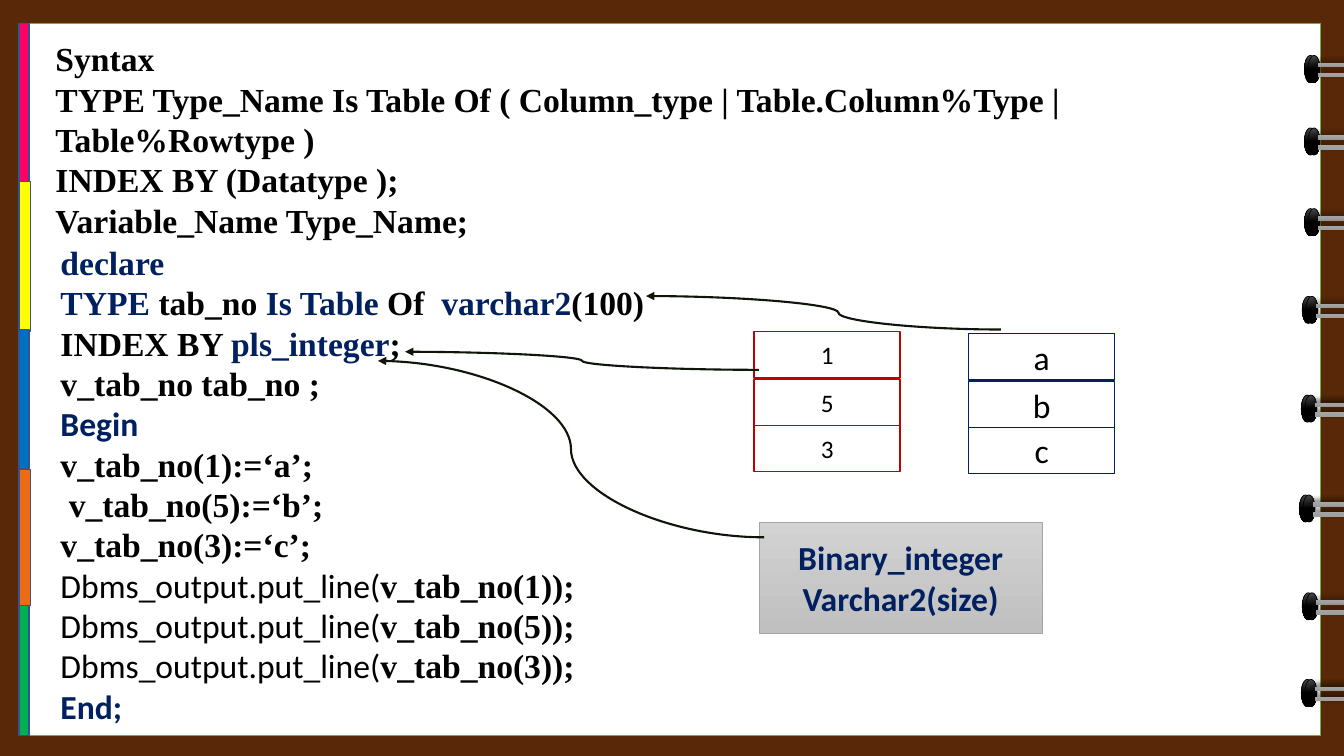
from lxml.etree import SubElement
from pptx import Presentation
from pptx.dml.color import RGBColor
from pptx.enum.shapes import MSO_CONNECTOR, MSO_SHAPE
from pptx.enum.text import MSO_ANCHOR, MSO_AUTO_SIZE, PP_ALIGN
from pptx.oxml.ns import qn
from pptx.util import Pt

HUES = {
    "brown": "582808", "white": "FFFFFF", "black": "000000", "green": "70AD47",
    "navy": "002060", "red": "C00000", "edge": "325491", "ink": "0E1509",
    "gloss": "4B4B4B", "steel": "AFAFAF", "iron": "939393",
    "pale": "D2D2D2", "ash": "C0C0C0", "gray": "A5A5A5",
    "pink": "FF0066", "yellow": "FFFF00", "blue": "0070C0",
    "leaf": "00B050", "orange": "EB6C15",
}
SERIF, SANS = "Times New Roman", "Calibri"

SYNTAX = "\v".join([
    "Syntax",
    "TYPE Type_Name Is Table Of ( Column_type | Table.Column%Type | Table%Rowtype )",
    "INDEX BY (Datatype );",
    "Variable_Name Type_Name;",
])

# Style: font, colour, bold
WORD = (SERIF, "navy", True)
NAME = (SERIF, "black", True)
MARK = (SANS, "navy", True)
CALL = (SANS, "black", False)
CODE = [
    [("declare\nTYPE ", WORD), ("tab_no ", NAME), ("Is Table ", WORD),
     ("Of  ", NAME), ("varchar2", WORD), ("(100)\nINDEX BY ", NAME),
     ("pls_integer", WORD), (";\nv_tab_no tab_no ;", NAME)],
    [("Begin", MARK)],
    [("v_tab_no(1):=‘a’;", NAME)],
    [(" v_tab_no(5):=‘b’;", NAME)],
    [("v_tab_no(3):=‘c’;", NAME)],
    *[[("Dbms_output.put_line(", CALL), (f"v_tab_no({key}));", NAME)]
      for key in (1, 5, 3)],
    [("End;", MARK)],
]

# Left, top, edge colour, text size, texts
STACKS = [
    (538.6, 236.9, "red", 18, "153"),
    (691.9, 238.3, "navy", 24, "abc"),
]
STEPS = (0, 34.2, 67)
TYPES = ["Binary_integer", "Varchar2(size)"]

# Start x, start y, end x, end y, place of the bend
ARROWS = [
    (715, 235.4, 461.5, 211.5, 45800),
    (542.2, 264.2, 289.4, 251.3, 50000),
    (545.8, 383.8, 270, 257.8, 50000),
]

# Colour, top, width, height
TABS = [
    ("pink", 16.6, 7.2, 113), ("yellow", 129.6, 7.9, 107.3),
    ("blue", 235.4, 7.2, 99.4), ("leaf", 432, 7.2, 93.6),
    ("orange", 335.5, 7.9, 97.2),
]

# Left, top, number of layers of wire
RINGS = [
    (931.7, 39.6, 1), (931.7, 91.4, 1), (931.7, 149, 1), (930.2, 211.7, 1),
    (930.2, 423.4, 1), (929.5, 485.3, 2), (928.1, 353.5, 2), (929.5, 282.2, 2),
]


def tint(key):
    return RGBColor.from_string(HUES[key])


def place(shape, left, top, wide, high):
    shape.left, shape.top = Pt(left), Pt(top)
    shape.width, shape.height = Pt(wide), Pt(high)


def draw(shapes, kind, box, fill, line=None, weight=1):
    """Add a shape; fill is a colour or (top colour, low colour, low stop)."""
    shape = shapes.add_shape(kind, *[Pt(n) for n in box])
    shape.shadow.inherit = False
    if isinstance(fill, str):
        shape.fill.solid()
        shape.fill.fore_color.rgb = tint(fill)
    else:
        shape.fill.gradient()
        shape.fill.gradient_angle = 270
        for stop, key, spot in zip(shape.fill.gradient_stops, fill, (0, fill[2])):
            stop.color.rgb, stop.position = tint(key), spot
    if line:
        shape.line.color.rgb = tint(line)
        shape.line.width = Pt(weight)
    else:
        shape.line.fill.background()
    return shape


def label(shape, lines, size, key, bold=False):
    frame = shape.text_frame
    frame.text = "\n".join(lines)
    frame.vertical_anchor = MSO_ANCHOR.MIDDLE
    for para in frame.paragraphs:
        para.alignment = PP_ALIGN.CENTER
        font = para.font
        font.name, font.size, font.bold = SANS, Pt(size), bold
        font.color.rgb = tint(key)


def shade(shape):
    """Give a wire its soft shadow."""
    effect = shape._element.spPr.find(qn("a:effectLst"))
    outer = SubElement(effect, qn("a:outerShdw"), blurRad=str(Pt(4)),
                       dist=str(Pt(3)), dir="13500000", rotWithShape="0")
    color = SubElement(outer, qn("a:srgbClr"), val=HUES["black"])
    SubElement(color, qn("a:alpha"), val="40000")


def bind(shapes, left, top, wires):
    draw(shapes, MSO_SHAPE.OVAL, (left, top, 8.6, 19.4),
         ("gloss", "black", 0.5), "black", 0.5)
    if wires:
        for drop in (1.6, 8.6):
            shade(draw(shapes, MSO_SHAPE.MATH_MINUS,
                       (left + 2.2, top + drop, 36.7, 10.8), ("steel", "iron", 1)))


def link(shapes, x, y, to_x, to_y, bend):
    line = shapes.add_connector(MSO_CONNECTOR.CURVE, Pt(x), Pt(y), Pt(to_x), Pt(to_y))
    line.line.color.rgb = tint("ink")
    line.line.width = Pt(1.5)
    props = line._element.spPr
    SubElement(props.find(qn("a:ln")), qn("a:tailEnd"), type="triangle")
    SubElement(props, qn("a:effectLst"))
    guides = props.find(qn("a:prstGeom")).find(qn("a:avLst"))
    SubElement(guides, qn("a:gd"), name="adj1", fmla=f"val {bend}")


def set_up(holder, box):
    place(holder, *box)
    frame = holder.text_frame
    frame.word_wrap = True
    frame.auto_size = MSO_AUTO_SIZE.NONE
    frame.vertical_anchor = MSO_ANCHOR.TOP
    return frame


def space(para):
    para.alignment = PP_ALIGN.LEFT
    para.line_spacing = Pt(28.8)
    para.space_before = Pt(0)
    para.font.size = Pt(24)


def write(frame):
    for count, runs in enumerate(CODE):
        para = frame.add_paragraph() if count else frame.paragraphs[0]
        props = para._p.get_or_add_pPr()
        props.set("marL", "0")
        props.set("indent", "0")
        SubElement(props, qn("a:buNone"))
        space(para)
        for text, (face, key, bold) in runs:
            for row, part in enumerate(text.split("\n")):
                if row:
                    para.add_line_break()
                run = para.add_run()
                run.text = part
                run.font.name, run.font.bold = face, bold
                run.font.color.rgb = tint(key)


def main():
    deck = Presentation()
    deck.slide_width, deck.slide_height = Pt(960), Pt(540)
    slide = deck.slides.add_slide(deck.slide_layouts[1])
    shapes = slide.shapes
    title, body = shapes.title, slide.placeholders[1]
    rect = MSO_SHAPE.RECTANGLE

    draw(shapes, rect, (0, 0, 960, 540), "brown")
    draw(shapes, rect, (14.4, 16.6, 928.8, 509), "white", "green")
    for key, top, wide, high in TABS:
        draw(shapes, rect, (13.7, top, wide, high), key, "edge")
    for left, top, layers in RINGS:
        bind(shapes, left, top, layers == 2)
        bind(shapes, left + 2.6, top, True)

    # Raise the text above the page
    for holder in (title, body):
        shapes._spTree.append(holder._element)
    frame = set_up(title, (32.4, 23.8, 892.1, 152.6))
    frame.text = SYNTAX
    para = frame.paragraphs[0]
    space(para)
    para.font.name, para.font.bold = SERIF, True
    para.font.color.rgb = tint("black")
    write(set_up(body, (36, 169.2, 460.8, 356.4)))

    draw(shapes, rect, (529.9, 176.4, 313.9, 259.2), "white", "white")
    for left, top, edge, size, texts in STACKS:
        for step, text in zip(STEPS, texts):
            cell = draw(shapes, rect, (left, top + step, 104.4, 33.1), "white", edge)
            label(cell, [text], size, "black")
    note = draw(shapes, rect, (542.2, 373, 202.3, 79.2), ("pale", "ash", 1), "gray", 0.5)
    label(note, TYPES, 24, "navy", True)
    for arrow in ARROWS:
        link(shapes, *arrow)

    deck.save("out.pptx")


if __name__ == "__main__":
    main()
